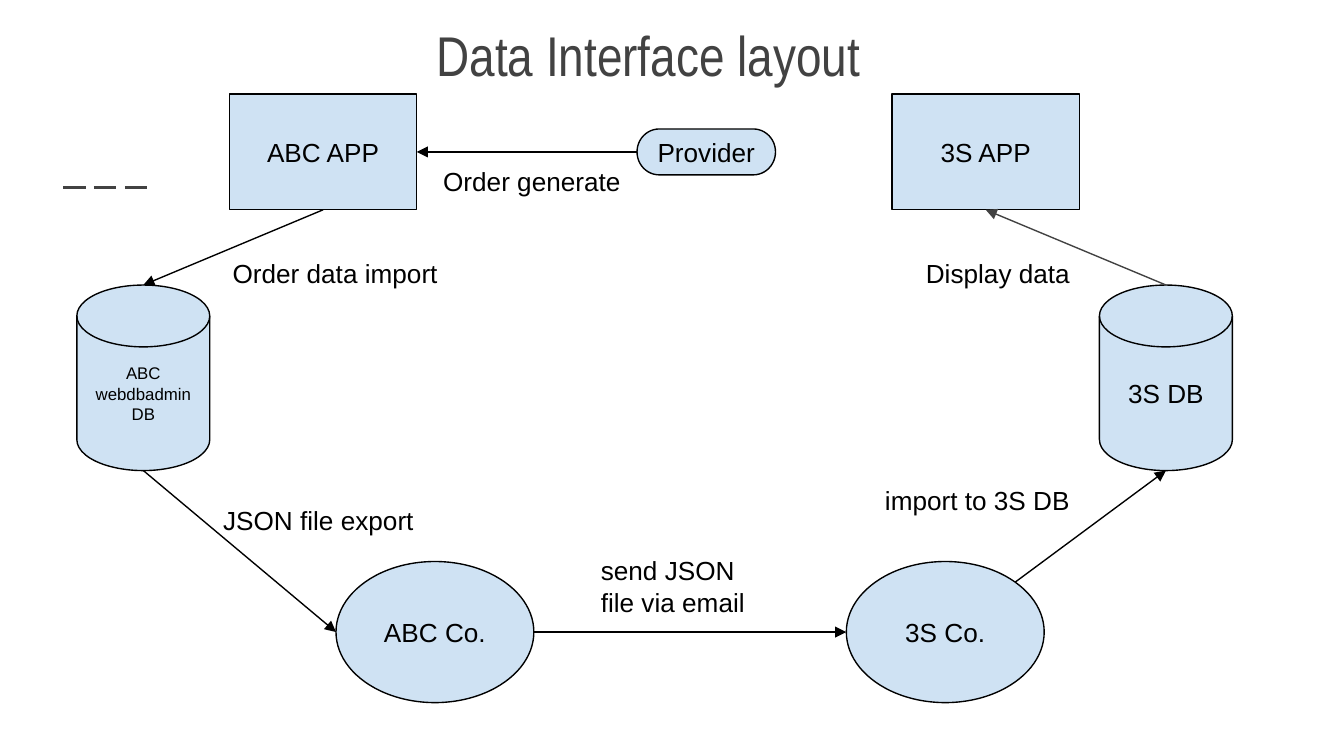
import math
from dataclasses import dataclass
from typing import Optional

import pptx
import pptx.dml.color
import pptx.enum.dml
import pptx.enum.shapes
import pptx.enum.text
import pptx.util
from lxml import etree
from pptx.oxml.ns import qn

Pt = pptx.util.Pt
SHAPE = pptx.enum.shapes.MSO_SHAPE
ALIGN = pptx.enum.text.PP_ALIGN
ANCHOR = pptx.enum.text.MSO_ANCHOR
AUTO_SIZE = pptx.enum.text.MSO_AUTO_SIZE

BLACK, GREY, PALE_BLUE = "000000", "424242", "CFE2F3"
FRAME_FORMAT = {
    "word_wrap": True,
    "margin_left": Pt(7.2),
    "margin_right": Pt(7.2),
    "margin_top": Pt(7.2),
    "margin_bottom": Pt(7.2),
}


@dataclass
class Node:
    text: str
    kind: int
    left: float
    top: float
    width: float
    height: float
    size: float = 14

    def point(self, across: float, down: float) -> tuple[float, float]:
        """Place inside the node, as fractions of its width and height."""
        return self.left + across * self.width, self.top + down * self.height


@dataclass
class Label:
    text: str
    left: float
    top: float
    width: float
    height: float = 31.7
    size: float = 14
    font: str = "Arial"
    color: str = BLACK


@dataclass
class Flow:
    start: tuple[float, float]
    end: tuple[float, float]
    color: str = BLACK
    source: Optional[tuple[Node, int]] = None
    target: Optional[tuple[Node, int]] = None


def rgb(color: str):
    return pptx.dml.color.RGBColor.from_string(color)


def write(frame, text: str, size: float, font: str, color: str, **extra) -> None:
    for name, value in {**FRAME_FORMAT, **extra}.items():
        setattr(frame, name, value)
    run = frame.paragraphs[0].add_run()
    run.text = text
    for name, value in {"name": font, "size": Pt(size)}.items():
        setattr(run.font, name, value)
    run.font.color.rgb = rgb(color)


def draw_node(slide, node: Node):
    shape = slide.shapes.add_shape(
        node.kind, Pt(node.left), Pt(node.top), Pt(node.width), Pt(node.height))
    shape.shadow.inherit = False
    shape.fill.solid()
    shape.fill.fore_color.rgb = rgb(PALE_BLUE)
    shape.line.color.rgb = rgb(BLACK)
    shape.line.width = Pt(0.75)
    write(shape.text_frame, node.text, node.size, "Arial", BLACK,
          vertical_anchor=ANCHOR.MIDDLE)
    shape.text_frame.paragraphs[0].alignment = ALIGN.CENTER
    return shape


def draw_label(slide, label: Label) -> None:
    box = slide.shapes.add_textbox(
        Pt(label.left), Pt(label.top), Pt(label.width), Pt(label.height))
    write(box.text_frame, label.text, label.size, label.font, label.color,
          auto_size=AUTO_SIZE.SHAPE_TO_FIT_TEXT)


def draw_line(slide, start, end, color: str, width: float):
    line = slide.shapes.add_connector(
        pptx.enum.shapes.MSO_CONNECTOR.STRAIGHT, *map(Pt, start + end))
    line.line.color.rgb = rgb(color)
    line.line.width = Pt(width)
    etree.SubElement(line._element.spPr, qn("a:effectLst"))
    return line


def draw_flow(slide, flow: Flow, shapes: dict) -> None:
    arrow = draw_line(slide, flow.start, flow.end, flow.color, 0.75)
    etree.SubElement(arrow.line._get_or_add_ln(), qn("a:tailEnd"), type="triangle")
    if flow.source:
        node, side = flow.source
        arrow.begin_connect(shapes[node.text], side)
    if flow.target:
        node, side = flow.target
        arrow.end_connect(shapes[node.text], side)


# Applications, databases and companies
APP = {"kind": SHAPE.FLOWCHART_PROCESS, "top": 50.4, "width": 100.4, "height": 62}
DB = {"kind": SHAPE.FLOWCHART_MAGNETIC_DISK, "top": 152.7, "width": 71.2, "height": 99.4}
COMPANY = {"kind": SHAPE.OVAL, "top": 300.8, "width": 106, "height": 75.6}

abc_app = Node("ABC APP", left=122.9, **APP)
three_s_app = Node("3S APP", left=477.9, **APP)
abc_db = Node("ABC webdbadmin DB", left=41.2, size=9, **DB)
three_s_db = Node("3S DB", left=589, **DB)
abc_company = Node("ABC Co.", left=180, **COMPANY)
three_s_company = Node("3S Co.", left=453.4, **COMPANY)
provider = Node("Provider", SHAPE.FLOWCHART_TERMINATOR, 341.3, 69.1, 74.2, 24.6)
NODES = [abc_app, three_s_app, abc_db, three_s_db, abc_company, three_s_company, provider]

# Data flows, in the order the data travels
DIAGONAL = math.sqrt(0.5) / 2
TOP, LEFT, BOTTOM, RIGHT = (0.5, 0), (0, 0.5), (0.5, 1), (1, 0.5)
FLOWS = [
    Flow(provider.point(*LEFT), abc_app.point(*RIGHT),
         source=(provider, 1), target=(abc_app, 3)),
    Flow(abc_app.point(*BOTTOM), abc_db.point(*TOP), source=(abc_app, 2)),
    Flow(abc_db.point(*BOTTOM), abc_company.point(*LEFT)),
    Flow(abc_company.point(*RIGHT), three_s_company.point(*LEFT)),
    Flow(three_s_company.point(0.5 + DIAGONAL, 0.5 - DIAGONAL),
         three_s_db.point(*BOTTOM)),
    Flow(three_s_db.point(*TOP), three_s_app.point(*BOTTOM), GREY,
         target=(three_s_app, 2)),
]

# Title and flow captions
LABELS = [
    Label("Data Interface layout", 226.8, 3.6, 248.4, 51.1, 30, "Arial Narrow", GREY),
    Label("Order generate", 230.3, 81.4, 150.5),
    Label("Order data import", 117.5, 130.5, 132.5),
    Label("JSON file export", 112.4, 262.9, 164.2),
    Label("send JSON file via email", 314.8, 290, 100, 48.2),
    Label("import to 3S DB", 467, 252.1, 121.7),
    Label("Display data", 488.9, 130.5, 94.3),
]


def main() -> None:
    deck = pptx.Presentation()
    deck.slide_width, deck.slide_height = Pt(720), Pt(405)
    slide = deck.slides.add_slide(deck.slide_layouts[6])

    # Dashed accent
    accent = draw_line(slide, (33.8, 100.3), (82, 100.3), GREY, 1.5)
    accent.line.dash_style = pptx.enum.dml.MSO_LINE.LONG_DASH

    # Diagram
    shapes = {node.text: draw_node(slide, node) for node in NODES}
    for flow in FLOWS:
        draw_flow(slide, flow, shapes)
    for label in LABELS:
        draw_label(slide, label)

    deck.save("out.pptx")


if __name__ == "__main__":
    main()
